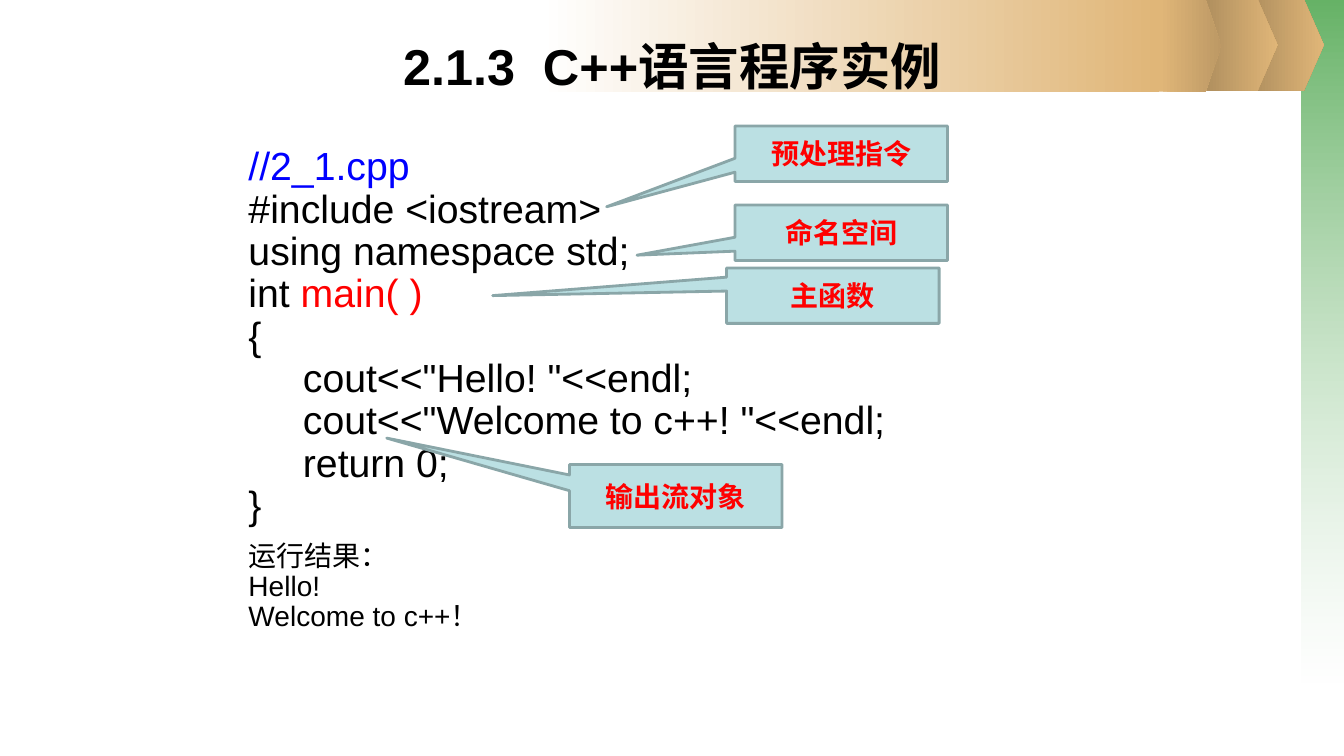
from lxml import etree
from pptx import Presentation
from pptx.dml.color import RGBColor
from pptx.enum.shapes import MSO_SHAPE
from pptx.enum.text import MSO_ANCHOR, MSO_AUTO_SIZE, PP_ALIGN
from pptx.oxml.ns import qn
from pptx.util import Inches, Pt

RECT = MSO_SHAPE.RECTANGLE
PLATE = MSO_SHAPE.PENTAGON
CALLOUT = MSO_SHAPE.RECTANGULAR_CALLOUT
CENTER, LEFT = PP_ALIGN.CENTER, PP_ALIGN.LEFT
TOP, MIDDLE = MSO_ANCHOR.TOP, MSO_ANCHOR.MIDDLE
NO_FIT = MSO_AUTO_SIZE.NONE

BLACK = RGBColor(0x00, 0x00, 0x00)
WHITE = RGBColor(0xFF, 0xFF, 0xFF)
RED = RGBColor(0xFF, 0x00, 0x00)
BLUE = RGBColor(0x00, 0x00, 0xFF)
GREEN = RGBColor(0x33, 0x99, 0x33)
SAND = RGBColor(0xE0, 0xB6, 0x78)
DARK_SAND = RGBColor(0xAB, 0x8B, 0x5C)
MID_SAND = RGBColor(0xBD, 0x99, 0x65)
PALE_TEAL = RGBColor(0xBB, 0xE0, 0xE3)
GREY_TEAL = RGBColor(0x8A, 0xA6, 0xA8)

COLS, ROWS = 160, 90
HANG = Inches(0.38)
CODE_INDENT = Inches(0.54)

BANDS = [
    (PLATE, (148.1, -0.1, 9.5, 10.9), (DARK_SAND, SAND)),
    (PLATE, (142.6, -0.1, 9.5, 10.9), (DARK_SAND, SAND)),
    (RECT, (64.3, 0, 73.7, 10.9), (WHITE, SAND)),
    (PLATE, (138, 0, 7.4, 10.9), (SAND, MID_SAND)),
]
CODE = [
    ([("//2_1.cpp", BLUE)], 0),
    ([("#include <iostream>", BLACK)], 0),
    ([("using namespace std;", BLACK)], 0),
    ([("int ", BLACK), ("main( )", RED)], 0),
    ([("{", BLACK)], 0),
    ([('cout<<"Hello! "<<endl;', BLACK)], 1),
    ([('cout<<"Welcome to c++! "<<endl;', BLACK)], 1),
    ([("return 0;", BLACK)], 1),
    ([("}", BLACK)], 0),
]
RESULT = ["运行结果：", "Hello!", "Welcome to c++！"]
CALLOUTS = [
    ("预处理指令", (87.5, 15, 25.3, 6.6), (-1.104, 0.957)),
    ("命名空间", (87.5, 24.4, 25.3, 6.6), (-0.961, 0.406)),
    ("主函数", (86.5, 31.9, 25.3, 6.6), (-1.601, -0.001)),
    ("输出流对象", (67.8, 55.3, 25.3, 7.5), (-1.36, -0.919)),
]


def add_run(p, text, size=28, color=BLACK, bold=False, font="Arial"):
    """Append a formatted run to a paragraph."""
    r = p.add_run()
    r.text = text
    r.font.name = font
    r.font.size = Pt(size)
    r.font.bold = bold
    r.font.color.rgb = color


class Deck:
    """Hold the style and the current slide, and place elements on its grid."""

    def __init__(self):
        self.prs = Presentation()
        self.prs.slide_width = Inches(13.33)
        self.prs.slide_height = Inches(7.5)
        self.s = self.prs.slides.add_slide(self.prs.slide_layouts[5])

    def box(self, left, top, width, height):
        col = self.prs.slide_width / COLS
        row = self.prs.slide_height / ROWS
        return [int(v) for v in (left * col, top * row, width * col, height * row)]

    def shape(self, kind, cell, adjust=()):
        sp = self.s.shapes.add_shape(kind, *self.box(*cell))
        sp.shadow.inherit = False
        for i, value in enumerate(adjust):
            sp.adjustments[i] = value
        return sp

    def band(self, kind, cell, colors, angle=0, alphas=()):
        sp = self.shape(kind, cell, (0.25,) if kind == PLATE else ())
        sp.line.fill.background()
        sp.fill.gradient()
        sp.fill.gradient_angle = angle
        for stop, color in zip(sp.fill.gradient_stops, colors):
            stop.color.rgb = color
        for clr, alpha in zip(sp.fill._xPr.iter(qn("a:srgbClr")), alphas):
            etree.SubElement(clr, qn("a:alpha"), val=str(alpha * 1000))

    def title(self, text, cell):
        sp = self.s.shapes.title
        sp.left, sp.top, sp.width, sp.height = self.box(*cell)
        self.s.shapes._spTree.append(sp._element)
        tf = sp.text_frame
        tf.auto_size = NO_FIT
        tf.vertical_anchor = TOP
        p = tf.paragraphs[0]
        p.alignment = CENTER
        add_run(p, text, size=36, bold=True)

    def listing(self, cell, lines, result):
        tf = self.s.shapes.add_textbox(*self.box(*cell)).text_frame
        tf.word_wrap = True
        rows = [(runs, level, 28, 0) for runs, level in lines]
        rows += [([(text, BLACK)], 0, 20, 0 if i else 10) for i, text in enumerate(result)]
        for i, (runs, level, size, before) in enumerate(rows):
            p = tf.add_paragraph() if i else tf.paragraphs[0]
            p.alignment = LEFT
            p.line_spacing = 0.9
            p.space_before = Pt(before)
            pPr = p._p.get_or_add_pPr()
            pPr.set("marL", str(HANG + level * CODE_INDENT))
            pPr.set("indent", str(-HANG))
            for text, color in runs:
                add_run(p, text, size=size, color=color)

    def callout(self, text, cell, pointer):
        sp = self.shape(CALLOUT, cell, pointer)
        sp.fill.solid()
        sp.fill.fore_color.rgb = PALE_TEAL
        sp.line.color.rgb = GREY_TEAL
        sp.line.width = Pt(2)
        tf = sp.text_frame
        tf.vertical_anchor = MIDDLE
        p = tf.paragraphs[0]
        p.alignment = CENTER
        add_run(p, text, size=20, color=RED, bold=True)


def main():
    """Build and save the slide."""
    deck = Deck()
    deck.band(RECT, (155, 0, 5, 81.2), (GREEN, WHITE), angle=270, alphas=(75, 37))
    for kind, cell, colors in BANDS:
        deck.band(kind, cell, colors)
    deck.title("2.1.3  C++语言程序实例", (8, 3.6, 144, 15))
    deck.listing((28.4, 16.9, 95, 64), CODE, RESULT)
    for text, cell, pointer in CALLOUTS:
        deck.callout(text, cell, pointer)
    deck.prs.save("out.pptx")


if __name__ == "__main__":
    main()
